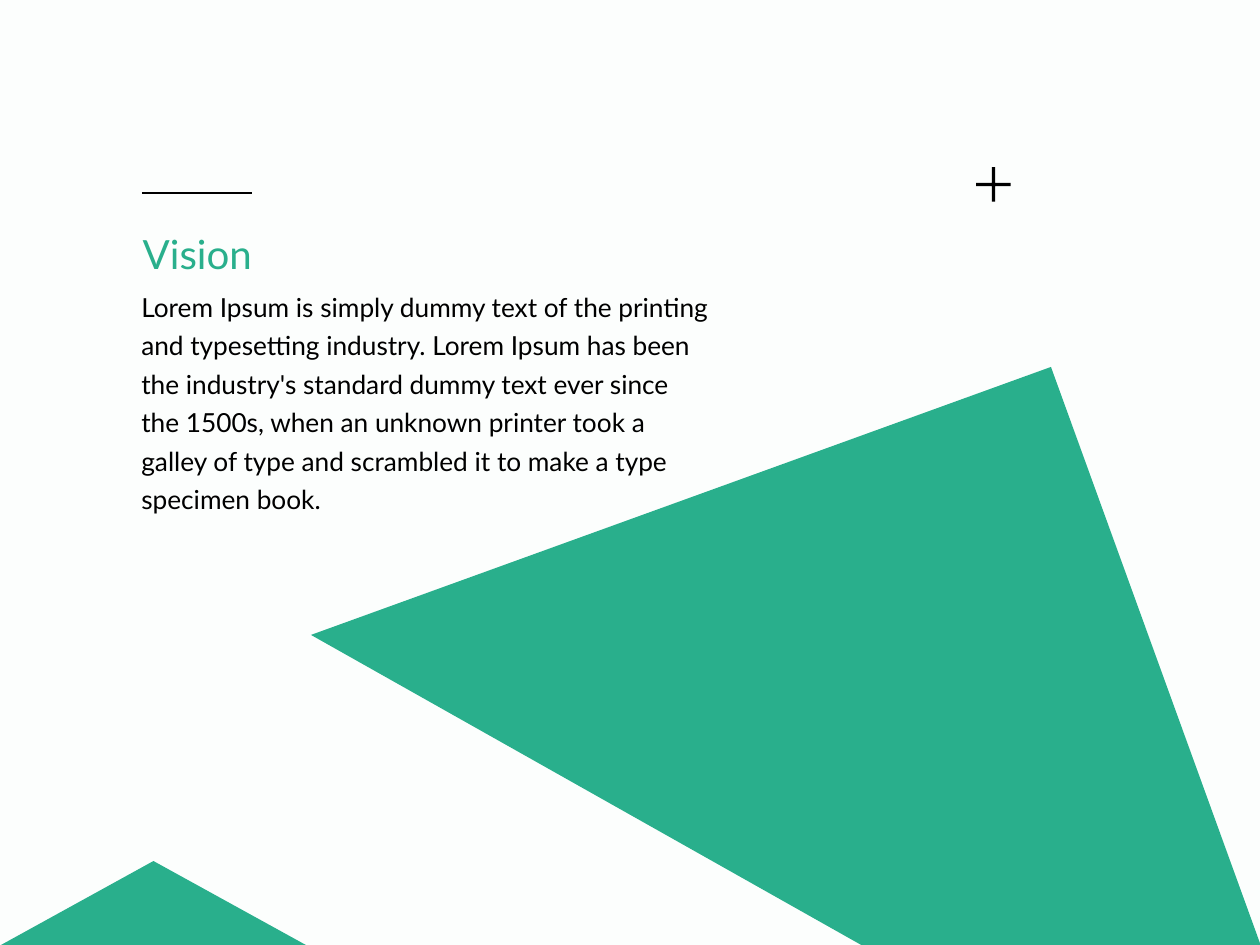
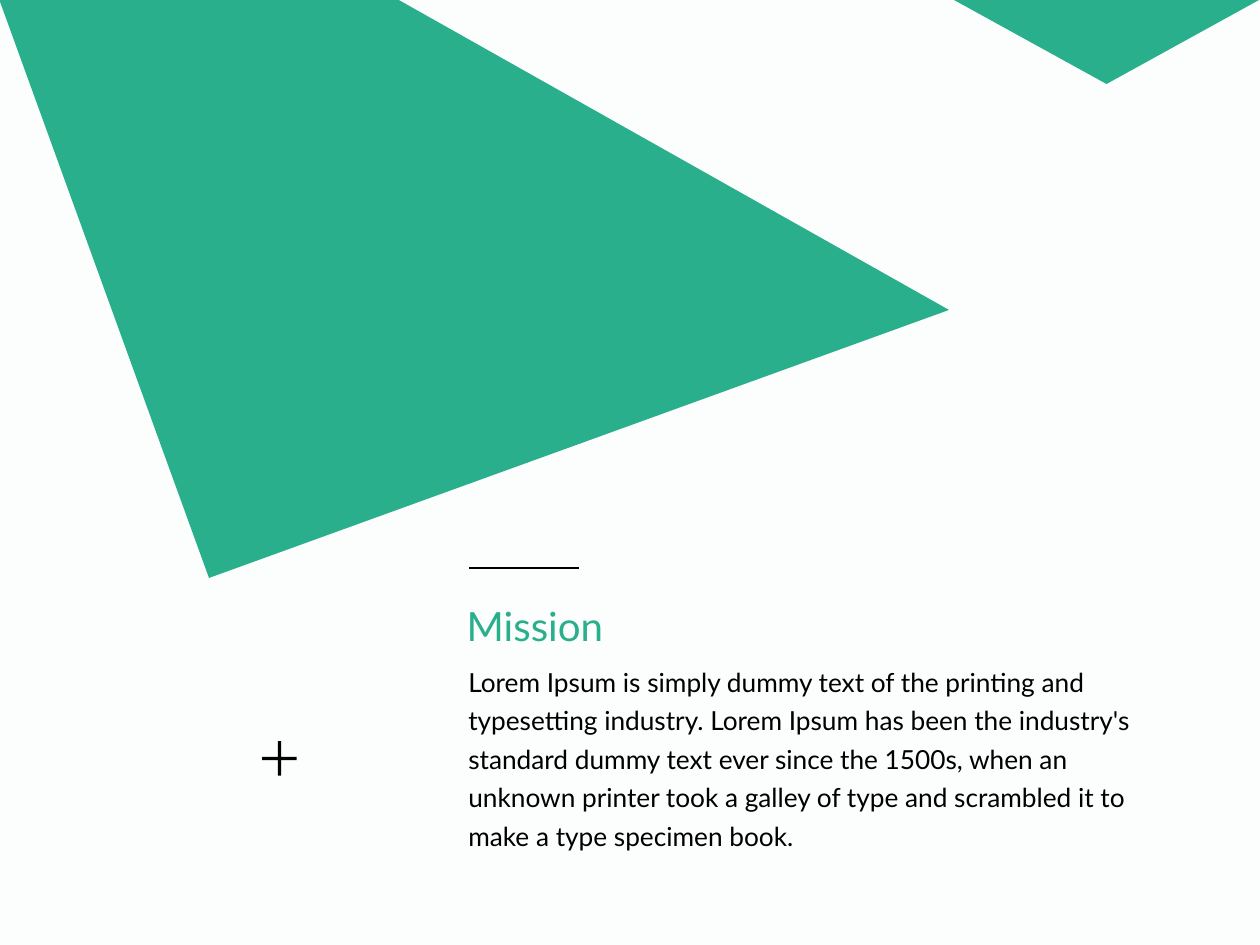
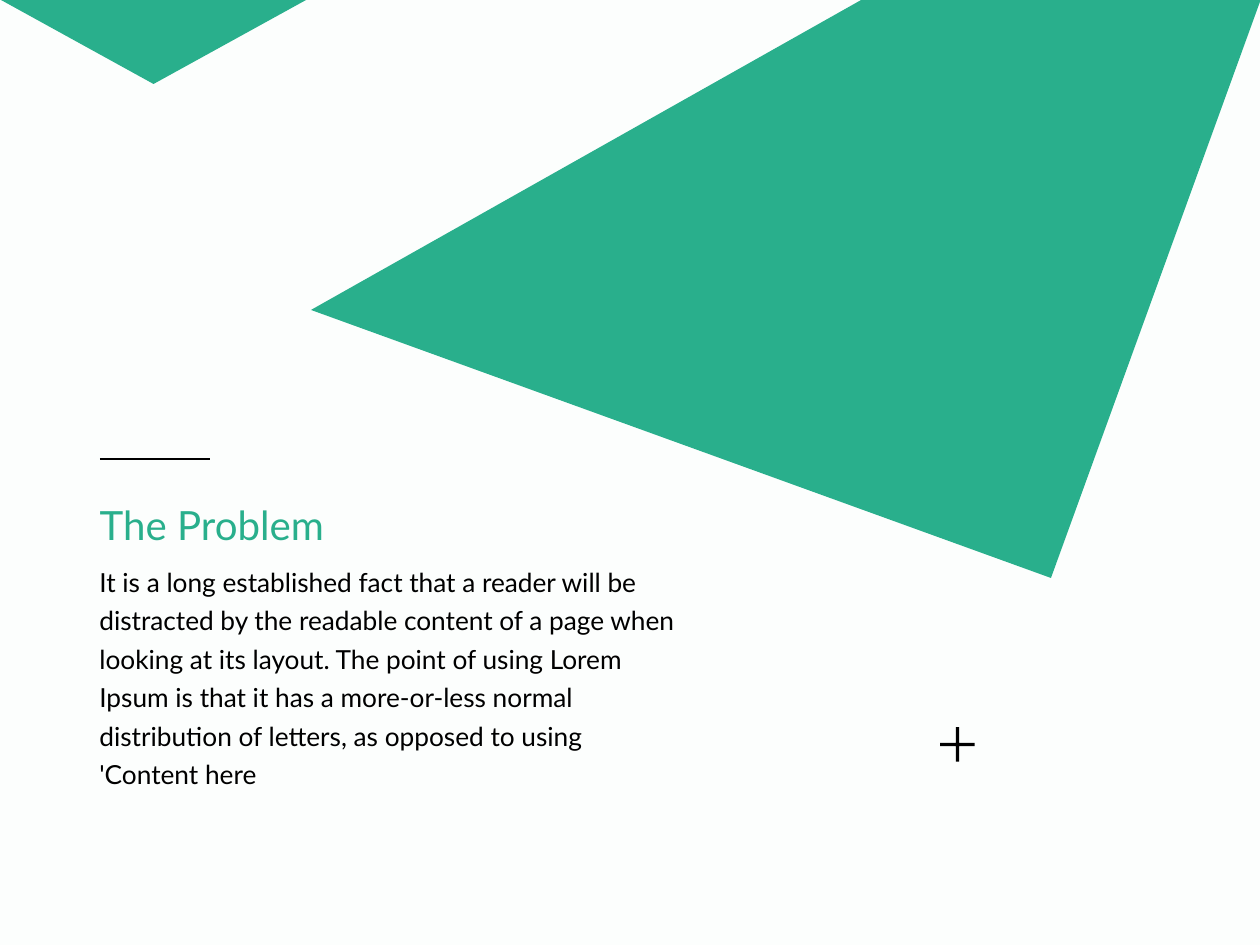
from dataclasses import dataclass

from lxml.etree import SubElement
from pptx import Presentation
from pptx.dml.color import RGBColor
from pptx.enum.shapes import MSO_CONNECTOR, MSO_SHAPE
from pptx.enum.text import MSO_ANCHOR, MSO_AUTO_SIZE, PP_ALIGN
from pptx.oxml.ns import qn
from pptx.util import Emu, Inches, Pt

PX = Inches(1) / 126
SLIDE_W, SLIDE_H = 1260, 945
RULE_LENGTH = 110
PLUS_SIZE = 47
PEAK = (1, 861, 305, 84)
CORNER = [(1261, 946), (863, 946), (311, 635), (1051, 367)]


@dataclass(frozen=True)
class Theme:
    paper: RGBColor = RGBColor(0xFC, 0xFE, 0xFD)
    green: RGBColor = RGBColor(0x29, 0xAF, 0x8C)
    ink: RGBColor = RGBColor(0, 0, 0)
    font: str = "Lato"
    heading: Pt = Pt(23)
    body: Pt = Pt(15)
    leading: Pt = Pt(22)
    rule: Pt = Pt(1)


THEME = Theme()
FRAME_FORMAT = {
    "word_wrap": True,
    "auto_size": MSO_AUTO_SIZE.SHAPE_TO_FIT_TEXT,
    "vertical_anchor": MSO_ANCHOR.TOP,
}

PRINTING_TEXT = (
    "Lorem Ipsum is simply dummy text of the printing and typesetting industry. "
    "Lorem Ipsum has been the industry's standard dummy text ever since the 1500s, "
    "when an unknown printer took a galley of type and scrambled it to make a type "
    "specimen book."
)
READER_TEXT = (
    "It is a long established fact that a reader will be distracted by the readable "
    "content of a page when looking at its layout. The point of using Lorem Ipsum is "
    "that it has a more-or-less normal distribution of letters, as opposed to using "
    "'Content here"
)

SECTIONS = [
    {
        "heading": "Vision", "heading_box": (130, 223, 241, 62),
        "body": PRINTING_TEXT, "body_box": (129, 278, 595, 242),
        "rule_start": (142, 193), "plus_corner": (970, 161),
        "mirror_x": False, "mirror_y": False,
    },
    {
        "heading": "Mission", "heading_box": (454, 595, 276, 62),
        "body": PRINTING_TEXT, "body_box": (456, 653, 728, 203),
        "rule_start": (469, 568), "plus_corner": (256, 735),
        "mirror_x": True, "mirror_y": True,
    },
    {
        "heading": "The Problem", "heading_box": (87, 494, 261, 62),
        "body": READER_TEXT, "body_box": (87, 553, 607, 242),
        "rule_start": (100, 459), "plus_corner": (934, 721),
        "mirror_x": False, "mirror_y": True,
    },
]


def px(*lengths):
    return [Emu(round(length * PX)) for length in lengths]


def write(frame, text, size, color, leading=None):
    for name, value in FRAME_FORMAT.items():
        setattr(frame, name, value)
    frame.text = text
    paragraph = frame.paragraphs[0]
    paragraph.alignment = PP_ALIGN.LEFT
    paragraph.line_spacing = leading
    font = paragraph.runs[0].font
    for name, value in {"name": THEME.font, "size": size}.items():
        setattr(font, name, value)
    font.color.rgb = color


def add_heading(slide, text, box):
    title = slide.shapes.title
    for name, value in zip(("left", "top", "width", "height"), px(*box)):
        setattr(title, name, value)
    write(title.text_frame, text, THEME.heading, THEME.green)


def add_body(slide, text, box):
    frame = slide.shapes.add_textbox(*px(*box)).text_frame
    write(frame, text, THEME.body, THEME.ink, THEME.leading)


def paint(shape, color):
    shape.shadow.inherit = False
    shape.fill.solid()
    shape.fill.fore_color.rgb = color
    shape.line.fill.background()


def add_peak(slide, mirror_x, mirror_y):
    """Small triangle standing on, or hanging from, a slide edge."""
    left, top, width, height = PEAK
    if mirror_x:
        left = SLIDE_W - left - width
    if mirror_y:
        top = SLIDE_H - top - height
    peak = slide.shapes.add_shape(
        MSO_SHAPE.ISOSCELES_TRIANGLE, *px(left, top, width, height)
    )
    peak.rotation = 180 if mirror_y else 0
    paint(peak, THEME.green)


def add_corner(slide, mirror_x, mirror_y):
    """Large four-sided field that fills one slide corner."""
    points = [
        (SLIDE_W - x if mirror_x else x, SLIDE_H - y if mirror_y else y)
        for x, y in CORNER
    ]
    outline = slide.shapes.build_freeform(*points[0], scale=PX)
    outline.add_line_segments(points[1:], close=True)
    paint(outline.convert_to_shape(), THEME.green)


def add_plus(slide, corner):
    plus = slide.shapes.add_shape(
        MSO_SHAPE.MATH_PLUS, *px(*corner, PLUS_SIZE, PLUS_SIZE)
    )
    plus.adjustments[0] = 0.07
    paint(plus, THEME.ink)


def add_rule(slide, start):
    x, y = start
    rule = slide.shapes.add_connector(
        MSO_CONNECTOR.STRAIGHT, *px(x, y, x + RULE_LENGTH, y)
    )
    rule.line.color.rgb = THEME.ink
    rule.line.width = THEME.rule
    SubElement(rule.element.spPr, qn("a:effectLst"))


def add_section(deck, section):
    slide = deck.slides.add_slide(deck.slide_layouts[5])
    mirrors = section["mirror_x"], section["mirror_y"]
    add_heading(slide, section["heading"], section["heading_box"])
    add_body(slide, section["body"], section["body_box"])
    add_peak(slide, *mirrors)
    add_corner(slide, *mirrors)
    add_plus(slide, section["plus_corner"])
    add_rule(slide, section["rule_start"])


def main():
    deck = Presentation()
    deck.slide_width, deck.slide_height = px(SLIDE_W, SLIDE_H)
    paper = deck.slide_master.background.fill
    paper.solid()
    paper.fore_color.rgb = THEME.paper
    for section in SECTIONS:
        add_section(deck, section)
    deck.save("out.pptx")


if __name__ == "__main__":
    main()
